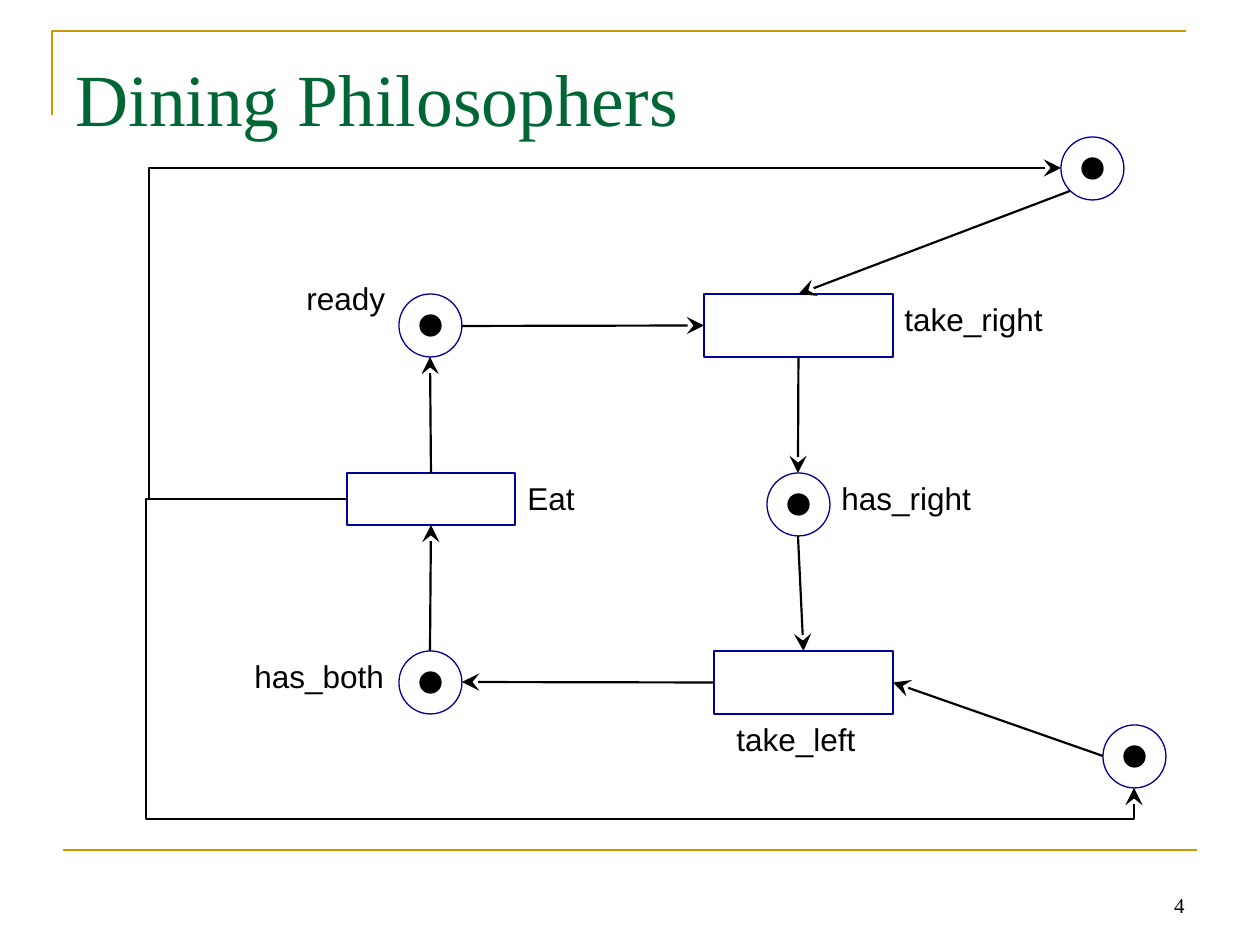
"""Build the Dining Philosophers Petri net slide."""
from dataclasses import dataclass

from lxml import etree
from pptx import Presentation
from pptx.dml.color import RGBColor
from pptx.enum.shapes import MSO_CONNECTOR, MSO_SHAPE
from pptx.enum.text import MSO_ANCHOR, PP_ALIGN
from pptx.oxml.ns import qn
from pptx.util import Emu, Pt

STRAIGHT, ELBOW = MSO_CONNECTOR.STRAIGHT, MSO_CONNECTOR.ELBOW
OVAL, RECTANGLE = MSO_SHAPE.OVAL, MSO_SHAPE.RECTANGLE
ANCHOR_TOP, ANCHOR_BOTTOM = MSO_ANCHOR.TOP, MSO_ANCHOR.BOTTOM
ALIGN_LEFT, ALIGN_RIGHT = PP_ALIGN.LEFT, PP_ALIGN.RIGHT

PX_PER_INCH = 126
BLACK, NAVY, GOLD, GREEN = "000000", "000099", "CC9900", "006633"
SANS, SERIF = "Arial", "Times New Roman"
PLACE_SIZE, DOT_SIZE, LABEL_HEIGHT = 63, 21, 50

TOP, LEFT, BOTTOM, RIGHT, LOWER_LEFT = range(5)
SIDE_FRACTIONS = [(0.5, 0), (0, 0.5), (0.5, 1), (1, 0.5), (0.15, 0.85)]


@dataclass
class Node:
    """A place or a transition of the net, in px."""
    left: int
    top: int
    width: int = PLACE_SIZE
    height: int = PLACE_SIZE
    kind: MSO_SHAPE = OVAL

    def point(self, side: int) -> tuple[int, int]:
        across, down = SIDE_FRACTIONS[side]
        return round(self.left + across * self.width), round(self.top + down * self.height)


@dataclass
class Arc:
    """A straight arrow between two nodes."""
    source: str
    source_side: int
    target: str
    target_side: int


@dataclass
class Loop:
    """A bent arrow from the eat transition round the net."""
    target: str
    target_side: int
    preset: str
    turn_x: int
    turn_y: int | None = None


@dataclass
class Label:
    """A caption beside a node, in px."""
    text: str
    left: int
    top: int
    width: int
    wrap: bool = False


NODES = {
    "eat": Node(347, 473, 168, 52, RECTANGLE),
    "take_right": Node(704, 294, 189, 63, RECTANGLE),
    "take_left": Node(714, 651, 179, 63, RECTANGLE),
    "ready": Node(399, 294),
    "has_both": Node(399, 651),
    "has_right": Node(767, 473),
    "right_fork": Node(1061, 137),
    "left_fork": Node(1103, 725),
}
ARCS = [
    Arc("eat", TOP, "ready", BOTTOM),
    Arc("take_left", LEFT, "has_both", RIGHT),
    Arc("has_right", BOTTOM, "take_left", TOP),
    Arc("take_right", BOTTOM, "has_right", TOP),
    Arc("ready", RIGHT, "take_right", LEFT),
    Arc("has_both", TOP, "eat", BOTTOM),
    Arc("right_fork", LOWER_LEFT, "take_right", TOP),
    Arc("left_fork", LEFT, "take_left", RIGHT),
]
LOOPS = [
    Loop("right_fork", LEFT, "bentConnector3", 149),
    Loop("left_fork", BOTTOM, "bentConnector4", 146, 819),
]
LABELS = [
    Label("ready", 294, 273, 105),
    Label("has_both", 242, 651, 155),
    Label("has_right", 829, 473, 155),
    Label("Eat", 515, 473, 73),
    Label("take_left", 724, 714, 158, True),
    Label("take_right", 892, 294, 164, True),
]


def px(length: int) -> Emu:
    return Emu(round(length * 914400 / PX_PER_INCH))


def color(value: str) -> RGBColor:
    return RGBColor.from_string(value)


def write(box, text: str, *, size: int = 18, font: str = SANS, fill: str = BLACK,
          align=ALIGN_LEFT, anchor=ANCHOR_TOP, wrap: bool = True) -> None:
    frame = box.text_frame
    frame.word_wrap = wrap
    frame.vertical_anchor = anchor
    para = frame.paragraphs[0]
    para.alignment = align
    span = para.add_run()
    span.text = text
    span.font.size = Pt(size)
    span.font.name = font
    span.font.color.rgb = color(fill)


def add_text(page, text: str, left: int, top: int, width: int, height: int, **style) -> None:
    write(page.shapes.add_textbox(px(left), px(top), px(width), px(height)), text, **style)


def add_outline(page, node: Node, line: str, fill: str | None = None):
    shape = page.shapes.add_shape(node.kind, px(node.left), px(node.top),
                                  px(node.width), px(node.height))
    shape.shadow.inherit = False
    if fill:
        shape.fill.solid()
        shape.fill.fore_color.rgb = color(fill)
    else:
        shape.fill.background()
    shape.line.color.rgb = color(line)
    shape.line.width = Pt(0.75)
    return shape


def add_node(page, node: Node):
    shape = add_outline(page, node, NAVY)
    if node.kind == OVAL:
        inset = (PLACE_SIZE - DOT_SIZE) // 2
        dot = Node(node.left + inset, node.top + inset, DOT_SIZE, DOT_SIZE)
        add_outline(page, dot, BLACK, BLACK)
    return shape


def add_line(page, kind, start: tuple[int, int], end: tuple[int, int], *,
             line: str = BLACK, width: float = 1.25, arrow: bool = True):
    connector = page.shapes.add_connector(kind, *map(px, start + end))
    connector.line.color.rgb = color(line)
    connector.line.width = Pt(width)
    properties = connector._element.spPr
    if arrow:
        etree.SubElement(properties.find(qn("a:ln")), qn("a:tailEnd"),
                         type="stealth", w="lg", len="lg")
    etree.SubElement(properties, qn("a:effectLst"))
    return connector


def add_arc(page, arc: Arc, shapes: dict) -> None:
    source, target = NODES[arc.source], NODES[arc.target]
    connector = add_line(page, STRAIGHT, source.point(arc.source_side),
                         target.point(arc.target_side))
    if source.kind == RECTANGLE:
        connector.begin_connect(shapes[arc.source], arc.source_side)
    if target.kind == RECTANGLE:
        connector.end_connect(shapes[arc.target], arc.target_side)


def add_loop(page, loop: Loop) -> None:
    start, end = NODES["eat"].point(LEFT), NODES[loop.target].point(loop.target_side)
    connector = add_line(page, ELBOW, start, end)
    geometry = connector._element.spPr.find(qn("a:prstGeom"))
    geometry.set("prst", loop.preset)
    guides = geometry.find(qn("a:avLst"))
    turns = [turn for turn in (loop.turn_x, loop.turn_y) if turn is not None]
    for number, (turn, first, last) in enumerate(zip(turns, start, end), 1):
        share = round((turn - first) / (last - first) * 100000)
        etree.SubElement(guides, qn("a:gd"), name=f"adj{number}", fmla=f"val {share}")


def add_frame(page) -> None:
    builder = page.shapes.build_freeform(px(52), px(115))
    builder.add_line_segments([(px(52), px(31)), (px(1186), px(31))], close=False)
    corner = builder.convert_to_shape()
    corner.shadow.inherit = False
    corner.fill.background()
    corner.line.color.rgb = color(GOLD)
    corner.line.width = Pt(1.5)
    add_line(page, STRAIGHT, (63, 850), (1197, 850), line=GOLD, width=1.5, arrow=False)


def main() -> None:
    deck = Presentation()
    deck.slide_width, deck.slide_height = px(1260), px(945)
    page = deck.slides.add_slide(deck.slide_layouts[5])
    add_frame(page)
    title = page.shapes.title
    title.left, title.top, title.width, title.height = map(px, (63, 38, 1134, 157))
    title.text_frame.margin_top = px(15)
    write(title, "Dining Philosophers", size=42, font=SERIF, fill=GREEN)
    shapes = {name: add_node(page, node) for name, node in NODES.items()}
    for label in LABELS:
        add_text(page, label.text, label.left, label.top, label.width, LABEL_HEIGHT,
                 wrap=label.wrap)
    for arc in ARCS:
        add_arc(page, arc, shapes)
    for loop in LOOPS:
        add_loop(page, loop)
    add_text(page, "4", 903, 861, 294, 63, size=12, font=SERIF,
             align=ALIGN_RIGHT, anchor=ANCHOR_BOTTOM)
    deck.save("out.pptx")


if __name__ == "__main__":
    main()
